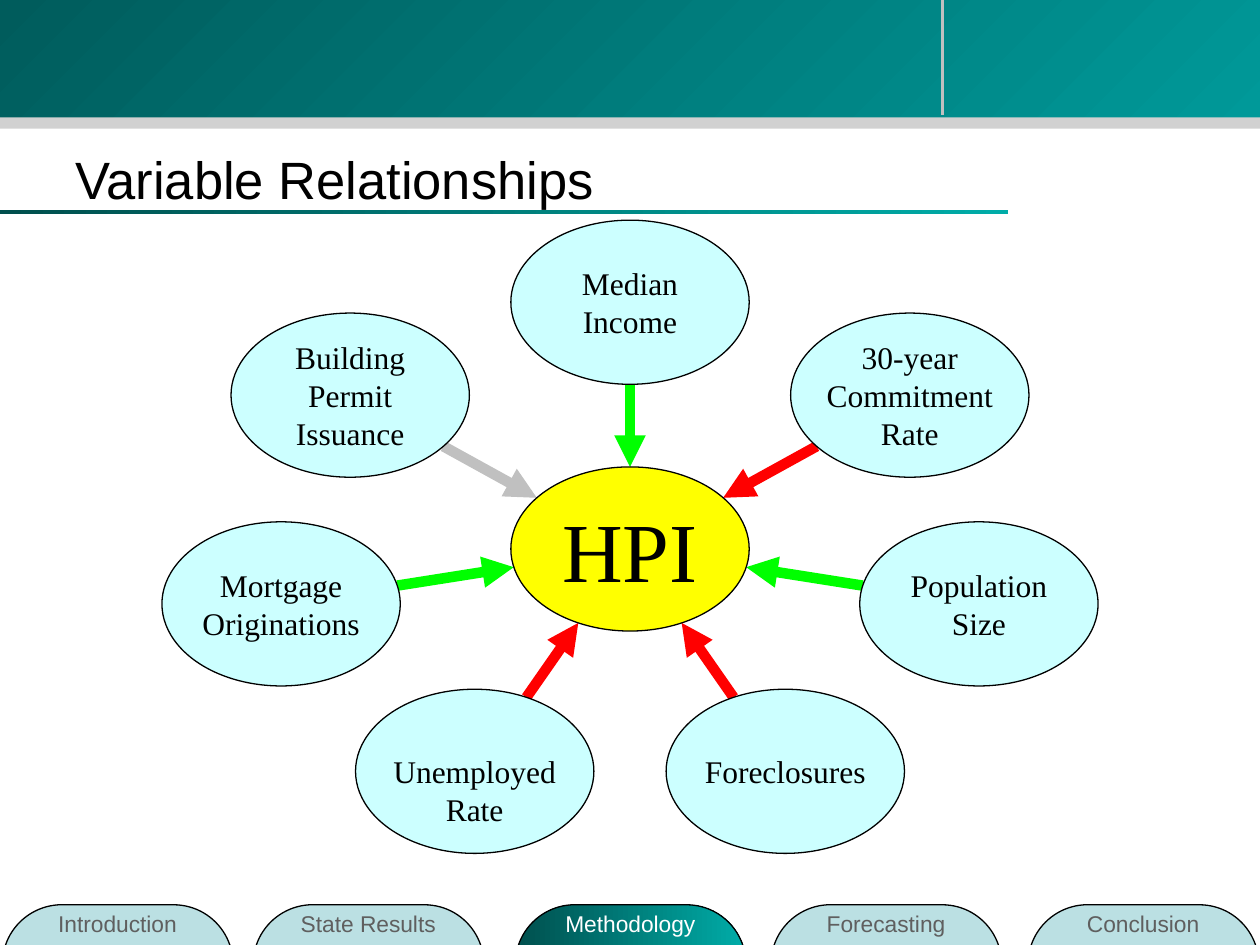
"""Builds the Variable Relationships slide with its ring of drivers around HPI."""
import math

import pptx
import pptx.dml.color
import pptx.enum.shapes
import pptx.enum.text
import pptx.oxml
import pptx.oxml.ns
import pptx.util

Pt = pptx.util.Pt
SHAPES = pptx.enum.shapes.MSO_SHAPE
ALIGN = pptx.enum.text.PP_ALIGN
ANCHOR = pptx.enum.text.MSO_ANCHOR


def colour(value):
    return pptx.dml.color.RGBColor.from_string(value)


class SlideBuilder:
    sans = "Arial"
    serif = "Times New Roman"
    ink = "000000"
    teal = ("004F4D", "00ACA8")

    def __init__(self, deck):
        self.page = deck.slides.add_slide(deck.slide_layouts[5])

    def add_text(self, frame, lines, size, font, ink, align=ALIGN.CENTER):
        for index, line in enumerate(lines):
            para = frame.add_paragraph() if index else frame.paragraphs[0]
            para.alignment = align
            span = para.add_run()
            span.text = line
            span.font.size = Pt(size)
            span.font.name = font
            span.font.color.rgb = colour(ink)

    def title(self, text, left, top, width, height):
        box = self.page.shapes.title
        box.left, box.top, box.width, box.height = map(Pt, (left, top, width, height))
        frame = box.text_frame
        frame.auto_size = pptx.enum.text.MSO_AUTO_SIZE.NONE
        frame.vertical_anchor = ANCHOR.MIDDLE
        self.add_text(frame, [text], 30, self.sans, self.ink, ALIGN.LEFT)

    def shape(self, kind, left, top, width, height, fill, angle=0, outlined=False):
        shape = self.page.shapes.add_shape(kind, Pt(left), Pt(top), Pt(width), Pt(height))
        shape.shadow.inherit = False
        if isinstance(fill, str):
            shape.fill.solid()
            shape.fill.fore_color.rgb = colour(fill)
        else:
            shape.fill.gradient()
            shape.fill.gradient_angle = angle
            for stop, value in zip(shape.fill.gradient_stops, fill):
                stop.color.rgb = colour(value)
        if outlined:
            shape.line.color.rgb = colour(self.ink)
            shape.line.width = Pt(0.75)
        else:
            shape.line.fill.background()
        return shape

    def line(self, start, end, ink, width, arrow=False):
        line = self.page.shapes.add_connector(
            pptx.enum.shapes.MSO_CONNECTOR.STRAIGHT, *map(Pt, (*start, *end)))
        line.line.color.rgb = colour(ink)
        line.line.width = Pt(width)
        namespace = pptx.oxml.ns.nsdecls("a")
        properties = line._element.spPr
        if arrow:
            properties.find(pptx.oxml.ns.qn("a:ln")).append(
                pptx.oxml.parse_xml(f'<a:tailEnd {namespace} type="triangle"/>'))
        properties.append(pptx.oxml.parse_xml(f"<a:effectLst {namespace}/>"))

    def bubble(self, centre, radii, lines, fill, size=18, inset_top=0):
        (x, y), (rx, ry) = centre, radii
        bubble = self.shape(SHAPES.OVAL, x - rx, y - ry, 2 * rx, 2 * ry, fill, outlined=True)
        frame = bubble.text_frame
        frame.word_wrap = True
        frame.vertical_anchor = ANCHOR.MIDDLE
        frame.margin_left = frame.margin_right = frame.margin_bottom = 0
        frame.margin_top = Pt(inset_top)
        self.add_text(frame, lines, size, self.serif, self.ink)

    def tab(self, text, left, active):
        tab = self.shape(SHAPES.ROUNDED_RECTANGLE, left, 517, 131.8, 82.8,
                         self.teal if active else "BBE0E3", outlined=True)
        tab.adjustments[0] = 0.41
        box = self.page.shapes.add_textbox(Pt(left - 6.3), Pt(516.2), Pt(144), Pt(23))
        box.text_frame.word_wrap = True
        self.add_text(box.text_frame, [text], 13, self.sans,
                      "FFFFFF" if active else "5F5F5F")


def main():
    deck = pptx.Presentation()
    deck.slide_width, deck.slide_height = Pt(720), Pt(540)
    slide = SlideBuilder(deck)

    slide.shape(SHAPES.RECTANGLE, 0, 0, 720, 72, ("005C5C", "009999"), angle=315)
    slide.shape(SHAPES.RECTANGLE, 0, 67, 720, 6.5, "D1D1D1")
    slide.line((538.5, 0), (538.5, 66), "C0C0C0", 2)
    slide.shape(SHAPES.RECTANGLE, 0, 120, 576, 2.2, slide.teal)
    slide.title("Variable Relationships", 36, 72, 648, 60)

    tabs = {"Introduction": 1.4, "State Results": 144.7, "Methodology": 294.5,
            "Forecasting": 440.6, "Conclusion": 587.5}
    for text, left in tabs.items():
        slide.tab(text, left, active=text == "Methodology")

    rising, falling, neutral = "00FF00", "FF0000", "C0C0C0"
    drivers = [
        (["Median", "Income"], rising, 0),
        (["30-year Commitment Rate"], falling, 0),
        (["Population", "Size"], rising, 0),
        (["Foreclosures"], falling, 0),
        (["Unemployed Rate"], falling, 21),
        (["Mortgage Originations"], rising, 0),
        (["Building Permit Issuance"], neutral, 0),
    ]
    hub, radii, ring = (360, 313.7), (68.1, 46.9), (204.5, 141)

    def around(angle, reach):
        return hub[0] + reach[0] * math.sin(angle), hub[1] - reach[1] * math.cos(angle)

    inner_edge = [far - near for far, near in zip(ring, radii)]
    for index, (lines, effect, inset_top) in enumerate(drivers):
        angle = 2 * math.pi * index / len(drivers)
        slide.line(around(angle, inner_edge), around(angle, radii), effect, 6, arrow=True)
        slide.bubble(around(angle, ring), radii, lines, "CCFFFF", inset_top=inset_top)
    slide.bubble(hub, radii, ["HPI"], "FFFF00", size=48)

    deck.save("out.pptx")


if __name__ == "__main__":
    main()
